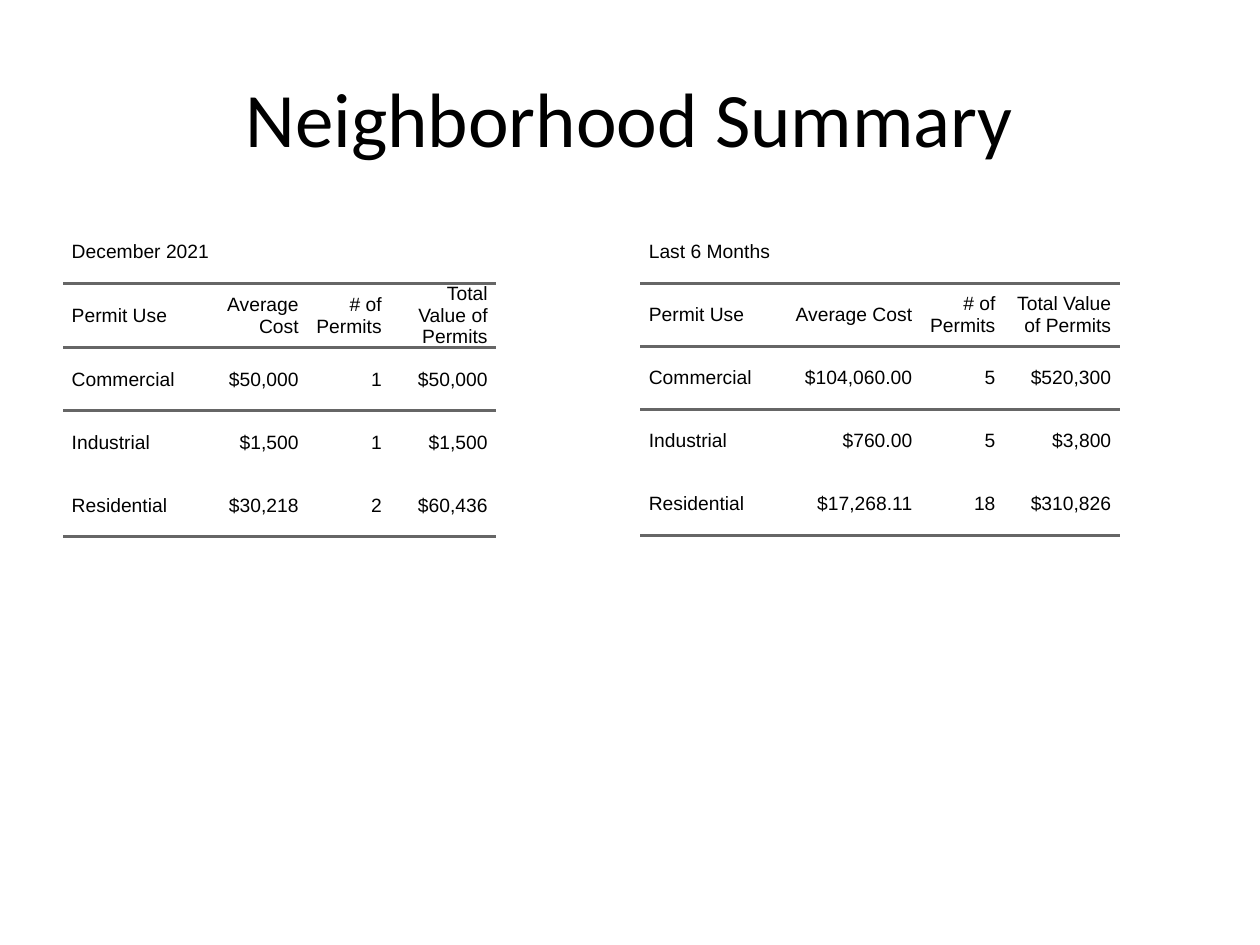
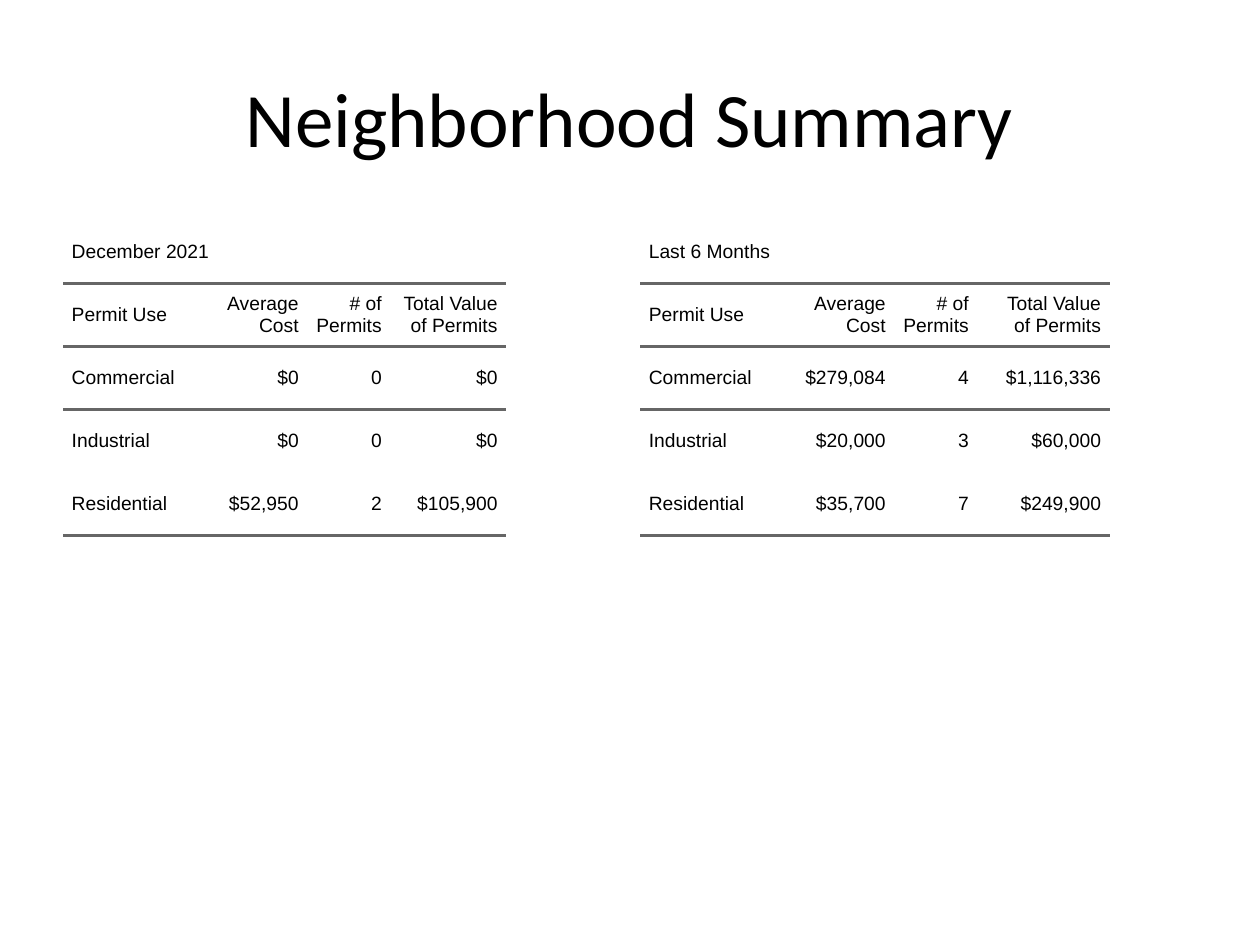
from dataclasses import dataclass

from lxml import etree
from pptx import Presentation
from pptx.dml.color import RGBColor
from pptx.enum import text as t
from pptx.oxml import ns
from pptx.util import Pt


@dataclass(frozen=True)
class Theme:
    ink: RGBColor = RGBColor(0, 0, 0)
    rule: str = "666666"
    rule_wt: int = 2
    head: str = "Calibri"
    body: str = "Arial"
    head_size: int = 44
    body_size: int = 11
    pad: int = 5
    row: int = 36
    top: int = 126


THEME = Theme()
NO_STYLE = "{2D5ABB26-0587-4C30-8999-92F81FD0307C}"
LEFTS = (36, 365.75)
USES = ("Commercial", "Industrial", "Residential")
HEADS = ("Permit Use", "Average Cost", "# of Permits", "Total Value of Permits")
MONTH, HALF = "December 2021", "Last 6 Months"

# Each slide: (caption, column widths, cost / count / total by use)
SLIDES = [
    [
        (MONTH, (79.2, 60.5, 47.5, 60.5),
         [("$50,000", "1", "$50,000"),
          ("$1,500", "1", "$1,500"),
          ("$30,218", "2", "$60,436")]),
        (HALF, (79.2, 81.4, 47.5, 66.2),
         [("$104,060.00", "5", "$520,300"),
          ("$760.00", "5", "$3,800"),
          ("$17,268.11", "18", "$310,826")]),
    ],
    [
        (MONTH, (79.2, 60.5, 47.5, 66.2),
         [("$0", "0", "$0"),
          ("$0", "0", "$0"),
          ("$52,950", "2", "$105,900")]),
        (HALF, (79.2, 66.2, 47.5, 75.6),
         [("$279,084", "4", "$1,116,336"),
          ("$20,000", "3", "$60,000"),
          ("$35,700", "7", "$249,900")]),
    ],
]


def set_font(para, name, size):
    para.font.name = name
    para.font.size = Pt(size)
    para.font.color.rgb = THEME.ink


def add_title(slide, words):
    title = slide.shapes.title
    title.left, title.top = Pt(36), Pt(21.6)
    title.width, title.height = Pt(648), Pt(90)
    frame = title.text_frame
    frame.text = words
    frame.vertical_anchor = t.MSO_ANCHOR.MIDDLE
    para = frame.paragraphs[0]
    para.alignment = t.PP_ALIGN.CENTER
    set_font(para, THEME.head, THEME.head_size)


def add_rule(cell, side):
    props = cell._tc.get_or_add_tcPr()
    line = etree.SubElement(props, ns.qn("a:ln" + side), w=str(Pt(THEME.rule_wt)))
    fill = etree.SubElement(line, ns.qn("a:solidFill"))
    etree.SubElement(fill, ns.qn("a:srgbClr"), val=THEME.rule)


def fill_cell(cell, words, align, sides):
    cell.margin_left = cell.margin_right = 0
    cell.margin_top = cell.margin_bottom = 0
    cell.vertical_anchor = t.MSO_ANCHOR.MIDDLE
    for side in sides:
        add_rule(cell, side)
    cell.fill.background()
    cell.text = words
    para = cell.text_frame.paragraphs[0]
    para.alignment = align
    props = para._p.get_or_add_pPr()
    for edge in ("marL", "marR"):
        props.set(edge, str(Pt(THEME.pad)))
    set_font(para, THEME.body, THEME.body_size)


def add_permits(slide, left, caption, widths, values):
    rows = [(caption, "", "", ""), HEADS]
    rows += [(use, *nums) for use, nums in zip(USES, values)]
    frame = slide.shapes.add_table(
        len(rows), len(widths), Pt(left), Pt(THEME.top),
        Pt(sum(widths)), Pt(THEME.row * len(rows)))
    grid = frame.table
    grid.first_row = grid.horz_banding = False
    grid._tbl.tblPr.find(ns.qn("a:tableStyleId")).text = NO_STYLE
    for col, width in zip(grid.columns, widths):
        col.width = Pt(width)

    # Rules frame the heading row and close the last row
    sides = {0: "B", 1: "TB", 2: "T", len(rows) - 1: "B"}
    for r, row in enumerate(rows):
        for c, words in enumerate(row):
            align = t.PP_ALIGN.RIGHT if c else t.PP_ALIGN.LEFT
            fill_cell(grid.cell(r, c), words, align, sides.get(r, ""))
    grid.cell(0, 0).merge(grid.cell(0, len(widths) - 1))


def main():
    deck = Presentation()
    deck.slide_width, deck.slide_height = Pt(720), Pt(540)
    for tables in SLIDES:
        slide = deck.slides.add_slide(deck.slide_layouts[5])
        add_title(slide, "Neighborhood Summary")
        for left, table in zip(LEFTS, tables):
            add_permits(slide, left, *table)
    deck.save("out.pptx")


if __name__ == "__main__":
    main()
